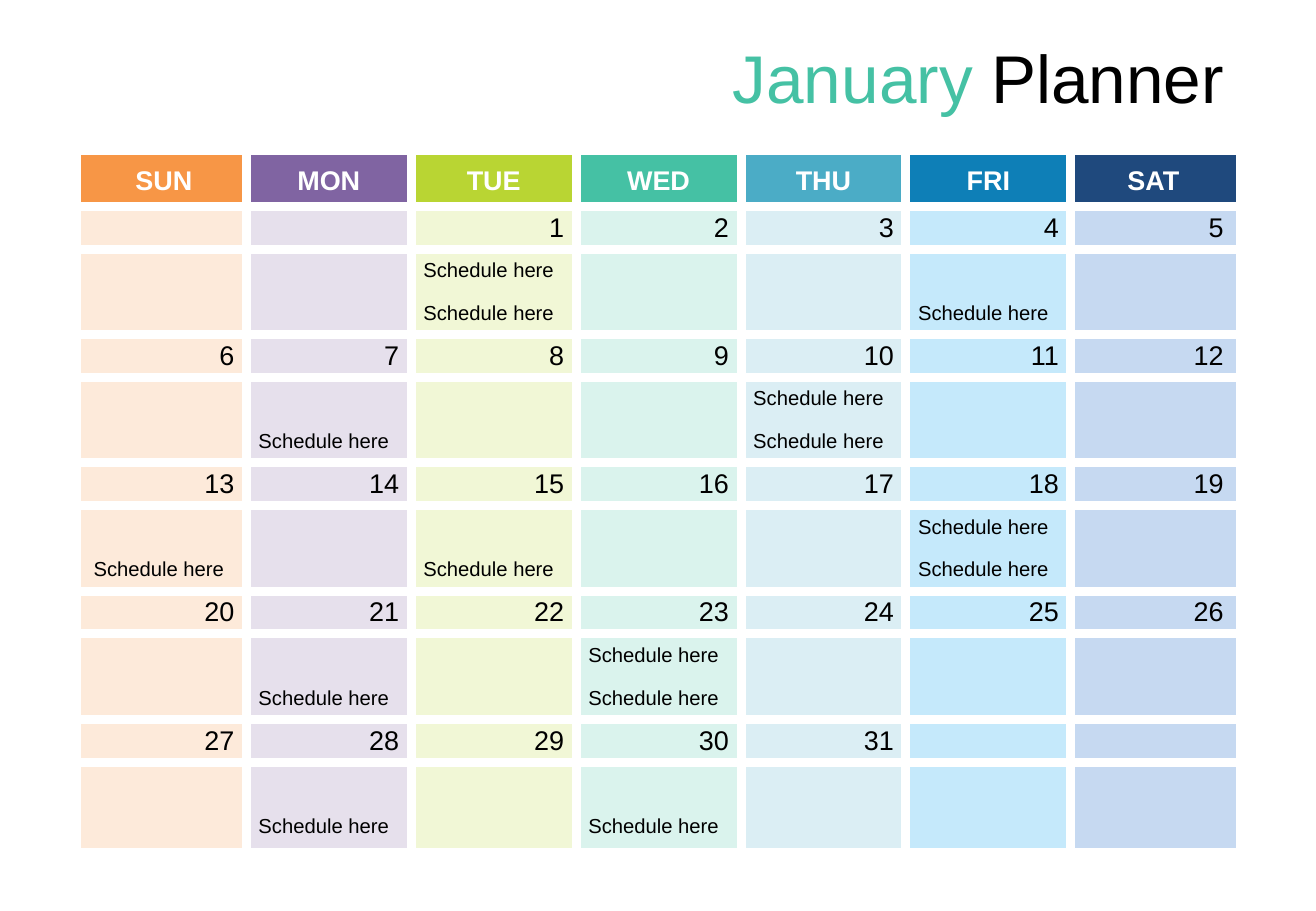
from dataclasses import dataclass

from lxml.etree import SubElement
from pptx import Presentation
from pptx.dml.color import RGBColor
from pptx.enum.text import MSO_ANCHOR as Anchor, MSO_AUTO_SIZE as AutoSize, PP_ALIGN as Align
from pptx.oxml.ns import qn
from pptx.slide import Slide
from pptx.table import Table, _Cell as Cell
from pptx.text.text import _Run as Run
from pptx.util import Inches, Pt


@dataclass(frozen=True)
class Theme:
    font: str = "Arial"
    accent: str = "45C1A4"
    ink: str = "000000"
    paper: str = "FFFFFF"
    title_size: int = 40
    day_size: int = 16
    entry_size: int = 12
    gap: int = 6


@dataclass(frozen=True)
class Weekday:
    name: str
    head: str
    tint: str


THEME = Theme()
WEEKDAYS = [
    Weekday("SUN", "F79646", "FDEADA"),
    Weekday("MON", "8064A2", "E6E0EC"),
    Weekday("TUE", "B9D533", "F1F7D6"),
    Weekday("WED", THEME.accent, "DAF3ED"),
    Weekday("THU", "4BACC6", "DBEEF4"),
    Weekday("FRI", "0E7FB7", "C5E9FB"),
    Weekday("SAT", "1F497D", "C6D9F1"),
]
ENTRIES = {1: 2, 4: 1, 7: 1, 10: 2, 13: 1, 15: 1, 18: 2, 21: 1, 23: 2, 28: 1, 30: 1}
ENTRY_TEXT = "Schedule here"
FIRST_COLUMN, LAST_DAY = 2, 31
WEEKS, ROWS_PER_WEEK = 5, 3
LEFT, WIDTH = 0.67, 9.5
TABLE_TOP, TABLE_HEIGHT, HEAD_HEIGHT = 1.28, 5.7, 0.42
NO_STYLE = "{2D5ABB26-0587-4C30-8999-92F81FD0307C}"


def style_run(r: Run, size: int, color: str, bold: bool = False) -> None:
    r.font.name = THEME.font
    r.font.size = Pt(size)
    r.font.bold = bold
    r.font.color.rgb = RGBColor.from_string(color)


def add_title(s: Slide) -> None:
    tb = s.shapes.add_textbox(Inches(LEFT), Inches(0.25), Inches(WIDTH), Inches(0.77))
    tf = tb.text_frame
    tf.word_wrap = True
    tf.auto_size = AutoSize.SHAPE_TO_FIT_TEXT
    p = tf.paragraphs[0]
    p.alignment = Align.RIGHT
    for text, color in (("January", THEME.accent), (" Planner", THEME.ink)):
        r = p.add_run()
        r.text = text
        style_run(r, THEME.title_size, color)


def format_cell(cell: Cell, fill: str, sides: str, inset: float) -> None:
    cell.margin_left = cell.margin_right = Inches(inset)
    cell.margin_top = cell.margin_bottom = 0
    cell.vertical_anchor = Anchor.MIDDLE
    tc_pr = cell._tc.get_or_add_tcPr()
    for side in sides:
        ln = SubElement(tc_pr, qn(f"a:ln{side}"), w=str(Pt(THEME.gap)))
        solid = SubElement(ln, qn("a:solidFill"))
        SubElement(solid, qn("a:srgbClr"), val=THEME.paper)
    cell.fill.solid()
    cell.fill.fore_color.rgb = RGBColor.from_string(fill)


def write_cell(cell: Cell, text: str, size: int, color: str, align: Align, bold: bool = False) -> None:
    cell.text_frame.text = text
    p = cell.text_frame.paragraphs[0]
    p.alignment = align
    style_run(p.runs[0], size, color, bold)


def white_sides(row: int, col: int, last_row: int) -> str:
    line = (row - 1) % ROWS_PER_WEEK
    sides = "L" if col > 0 else ""
    if col < len(WEEKDAYS) - 1:
        sides += "R"
    if row > 0 and line == 0:
        sides += "T"
    if row < last_row and line == ROWS_PER_WEEK - 1:
        sides += "B"
    return sides


def fill_day(table: Table, week: int, col: int) -> None:
    day = week * len(WEEKDAYS) + col - FIRST_COLUMN + 1
    if not 1 <= day <= LAST_DAY:
        return
    top = 1 + week * ROWS_PER_WEEK
    write_cell(table.cell(top, col), str(day), THEME.day_size, THEME.ink, Align.RIGHT)
    for i in range(ENTRIES.get(day, 0)):
        cell = table.cell(top + ROWS_PER_WEEK - 1 - i, col)
        write_cell(cell, ENTRY_TEXT, THEME.entry_size, THEME.ink, Align.LEFT)


def add_calendar(s: Slide) -> None:
    day_rows = WEEKS * ROWS_PER_WEEK
    frame = s.shapes.add_table(day_rows + 1, len(WEEKDAYS), Inches(LEFT), Inches(TABLE_TOP),
                               Inches(WIDTH), Inches(TABLE_HEIGHT))
    table = frame.table
    table._tbl.tblPr.find(qn("a:tableStyleId")).text = NO_STYLE
    table.first_row = table.horz_banding = False
    for i, row in enumerate(table.rows):
        row.height = Inches((TABLE_HEIGHT - HEAD_HEIGHT) / day_rows if i else HEAD_HEIGHT)
    for col, weekday in enumerate(WEEKDAYS):
        table.columns[col].width = Inches(WIDTH / len(WEEKDAYS))
        for row in range(day_rows + 1):
            format_cell(table.cell(row, col), weekday.tint if row else weekday.head,
                        white_sides(row, col, day_rows), 0.1 if row else 0)
        write_cell(table.cell(0, col), weekday.name, THEME.day_size, THEME.paper, Align.CENTER, True)
        for week in range(WEEKS):
            fill_day(table, week, col)


def main() -> None:
    prs = Presentation()
    prs.slide_width, prs.slide_height = Inches(10.83), Inches(7.5)
    s = prs.slides.add_slide(prs.slide_layouts[6])
    add_title(s)
    add_calendar(s)
    prs.save("out.pptx")


if __name__ == "__main__":
    main()
